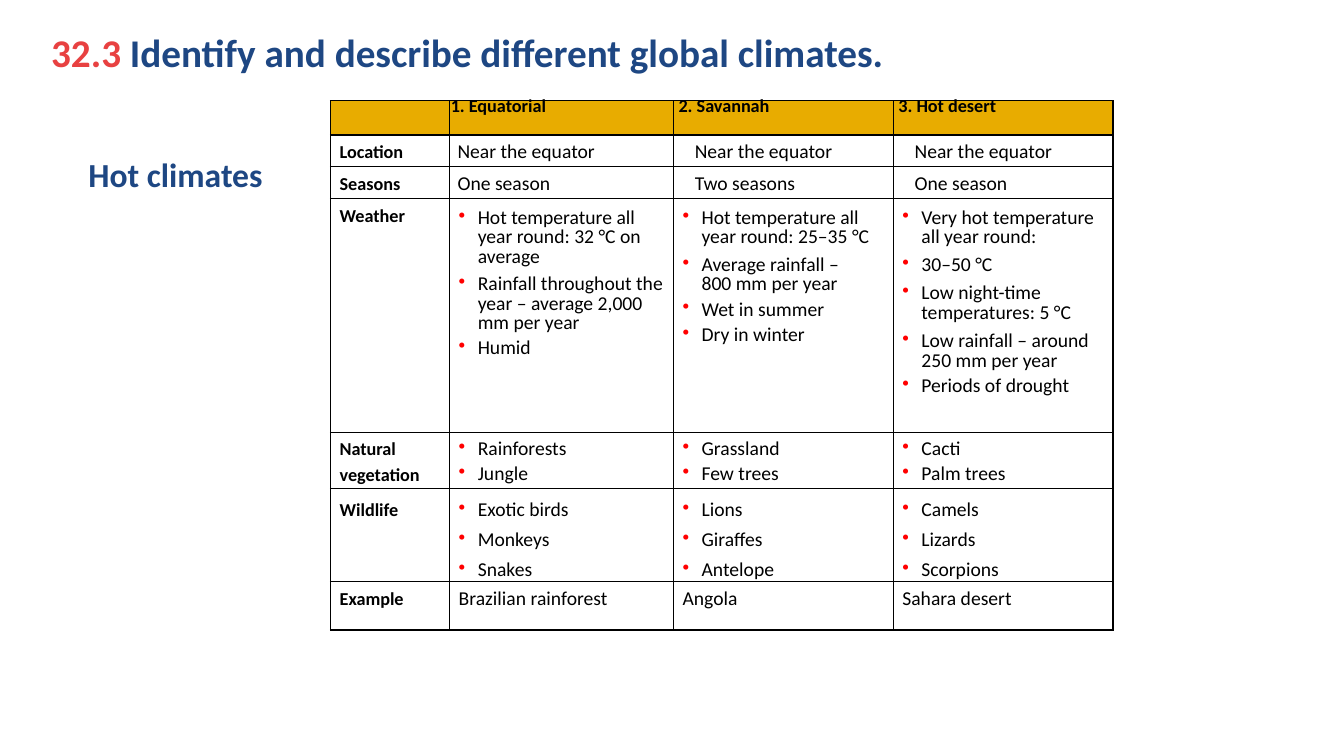
import pptx
import pptx.dml.color
import pptx.enum.text
import pptx.oxml
import pptx.oxml.ns
import pptx.util
from pptx.util import Cm

FONT = "Calibri"
NAMESPACE = pptx.oxml.ns.nsdecls("a")


def color(value):
    return pptx.dml.color.RGBColor.from_string(value)


def add_run(paragraph, text, size, value, bold):
    run = paragraph.add_run()
    run.text = text
    run.font.name = FONT
    run.font.size = pptx.util.Pt(size)
    run.font.bold = bold
    run.font.color.rgb = color(value)


presentation = pptx.Presentation()
presentation.slide_width = Cm(33.87)
presentation.slide_height = Cm(19.05)
slide = presentation.slides.add_slide(presentation.slide_layouts[6])

title = slide.shapes.add_textbox(Cm(1.04), Cm(0.58), Cm(28.27), Cm(1.45))
title.text_frame.word_wrap = True
title_paragraph = title.text_frame.paragraphs[0]
title_properties = title_paragraph._p.get_or_add_pPr()
title_properties.set("marL", str(Cm(2)))
title_properties.set("indent", str(Cm(-2)))
title_paragraph.space_after = pptx.util.Pt(18)
add_run(title_paragraph, "32.3 ", 28, "E84141", True)
add_run(title_paragraph, "Identify and describe different global climates.", 28, "1E4783", True)

subtitle = slide.shapes.add_textbox(Cm(1.98), Cm(3.76), Cm(4.95), Cm(1.27))
subtitle.text_frame.word_wrap = False
add_run(subtitle.text_frame.paragraphs[0], "Hot climates", 24, "1E4783", True)

column_widths = [3, 5.64, 5.54, 5.54]
climate_rows = [
    ("header", 0.86, 12, [[], ["1. Equatorial"], ["2. Savannah"], ["3. Hot desert"]]),
    ("place", 0.8, 12, [["Location"], ["Near the equator"], ["Near the equator"], ["Near the equator"]]),
    ("place", 0.8, 12, [["Seasons"], ["One season"], ["Two seasons"], ["One season"]]),
    ("bullets", 5.89, 12, [
        ["Weather"],
        [("Hot temperature all year round: 32 °C on average", 13.8),
         ("Rainfall throughout the year – average 2,000 mm per year", 13.8),
         "Humid"],
        [("Hot temperature all year round: 25–35 °C", 13.8),
         ("Average rainfall –\n800 mm per year", 13.8),
         "Wet in summer", "Dry in winter"],
        [("Very hot temperature all year round:", 13.8),
         ("30–50 °C", 13.8),
         ("Low night-time temperatures: 5 °C", 14.1),
         ("Low rainfall – around 250 mm per year", 14.1),
         "Periods of drought"],
    ]),
    ("bullets", 1.42, 12, [["Natural", "vegetation"], ["Rainforests", "Jungle"],
                           ["Grassland", "Few trees"], ["Cacti", "Palm trees"]]),
    ("bullets", 2.34, 15.3, [["Wildlife"], ["Exotic birds", "Monkeys", "Snakes"],
                             ["Lions", "Giraffes", "Antelope"], ["Camels", "Lizards", "Scorpions"]]),
    ("example", 1.22, 12, [["Example"], ["Brazilian rainforest"], ["Angola"], ["Sahara desert"]]),
]

table_frame = slide.shapes.add_table(
    len(climate_rows), len(column_widths), Cm(8.33), Cm(2.54),
    Cm(sum(column_widths)), Cm(sum(row[1] for row in climate_rows)))
table = table_frame.table
table.first_row = False
table.horz_banding = False
for column, width in zip(table.columns, column_widths):
    column.width = Cm(width)

for row_index, (kind, height, row_spacing, contents) in enumerate(climate_rows):
    table.rows[row_index].height = Cm(height)
    for column_index, lines in enumerate(contents):
        cell = table.cell(row_index, column_index)
        is_header = kind == "header"
        is_label = column_index == 0
        is_bulleted = kind == "bullets" and not is_label
        is_first_place = kind == "place" and column_index == 1

        cell_properties = cell._tc.get_or_add_tcPr()
        for side in ("lnL", "lnR", "lnT", "lnB"):
            cell_properties.append(pptx.oxml.parse_xml(
                f'<a:{side} {NAMESPACE} w="12700"><a:solidFill><a:srgbClr val="000000"/>'
                f'</a:solidFill></a:{side}>'))
        cell.fill.solid()
        cell.fill.fore_color.rgb = color("E8AC00" if is_header else "FFFFFF")
        cell.vertical_anchor = pptx.enum.text.MSO_ANCHOR.TOP
        side_margin = Cm(0.2 if is_bulleted or is_first_place else 0.03)
        cell.margin_left = cell.margin_right = side_margin
        cell.margin_top = Cm(0 if is_header else 0.3)
        cell.margin_bottom = Cm(0)

        if is_header:
            left, indent = 0.1, -0.66 if column_index == 1 else 0
        elif is_bulleted:
            left, indent = 0.51, -0.48
        elif is_label or kind == "example":
            left, indent = 0.2, 0
        else:
            left, indent = 0.51, -0.66 if is_first_place else 0

        for line_index, line in enumerate(lines):
            text, spacing = line if isinstance(line, tuple) else (line, row_spacing)
            frame = cell.text_frame
            paragraph = frame.paragraphs[0] if line_index == 0 else frame.add_paragraph()
            properties = paragraph._p.get_or_add_pPr()
            properties.set("marL", str(Cm(left)))
            properties.set("indent", str(Cm(indent)))
            if is_bulleted:
                properties.append(pptx.oxml.parse_xml(
                    f'<a:buClr {NAMESPACE}><a:srgbClr val="FF0000"/></a:buClr>'))
                properties.append(pptx.oxml.parse_xml(f'<a:buChar {NAMESPACE} char="•"/>'))
            paragraph.line_spacing = pptx.util.Pt(spacing)
            if line_index > 0:
                paragraph.space_before = pptx.util.Pt(6)
            bold = is_header or is_label
            for part_index, part in enumerate(text.split("\n")):
                if part_index > 0:
                    paragraph.add_line_break()
                add_run(paragraph, part, 13 if bold else 14, "000000", bold)

presentation.save("out.pptx")
